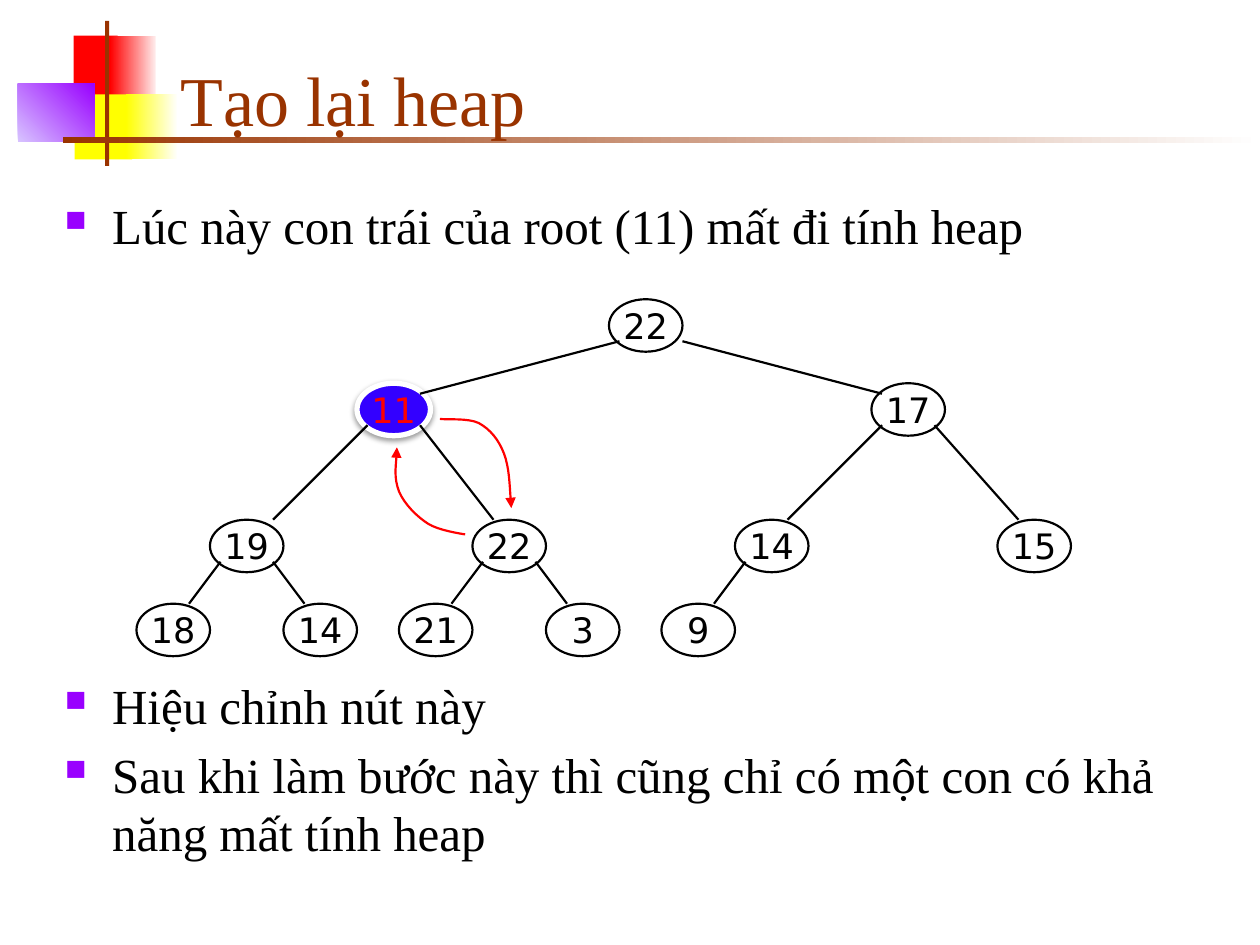
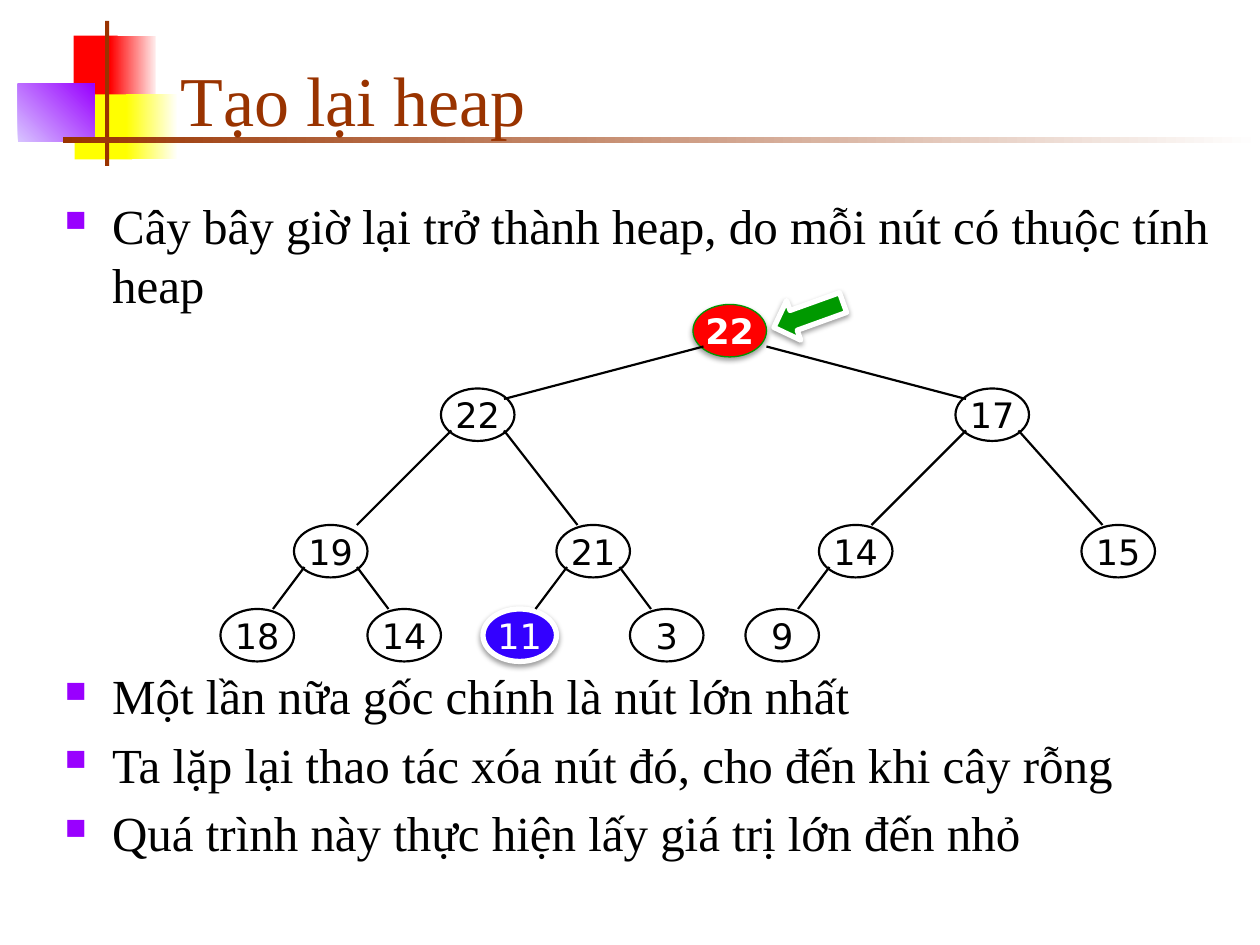
"""Build two slides on restoring a heap after its root is removed."""
from lxml import etree
from pptx import Presentation
from pptx.dml.color import RGBColor
from pptx.enum.shapes import MSO_CONNECTOR, MSO_SHAPE
from pptx.enum.text import MSO_ANCHOR, PP_ALIGN
from pptx.oxml.ns import qn
from pptx.util import Emu, Pt

RECT, OVAL, LEFT_ARROW = MSO_SHAPE.RECTANGLE, MSO_SHAPE.OVAL, MSO_SHAPE.LEFT_ARROW
STRAIGHT = MSO_CONNECTOR.STRAIGHT
BOTTOM, MIDDLE, CENTER = MSO_ANCHOR.BOTTOM, MSO_ANCHOR.MIDDLE, PP_ALIGN.CENTER

CELL = 76200
BLACK, WHITE, RED, BLUE = "000000", "FFFFFF", "FF0000", "3300FF"
BROWN, PURPLE, YELLOW, GREEN = "993300", "9900FF", "FFFF00", "009900"
SERIF, SANS = "Times New Roman", "DejaVu Sans"
INDENT = 4.5
PARAGRAPH_GAP, PARAGRAPH_PITCH = 5.6, 39.2

DECORATION = [
    ((7, 3.4, 4.2, 6.2), [RED], 0),
    ((10.5, 3.4, 4.3, 6.2), [RED, "FFEAEA"], 0),
    ((7.1, 9, 5.5, 6.2), [YELLOW], 0),
    ((12, 9, 4.8, 6.2), [YELLOW, "FFFFF8"], 0),
    ((1.7, 8, 7.3, 5.5), ["D8C4FF", PURPLE], 45),
    ((10, 2, 0.4, 13.8), [BROWN], 0),
    ((6, 13, 114, 0.6), [BROWN, WHITE], 0),
]

NODE_WIDTH, NODE_HEIGHT = 7, 5
NODE_COLUMNS = [45, 21, 70, 7, 32, 57, 82, 0, 14, 25, 39, 50]
LEVEL_ROWS = [0, 8, 21, 29]
EDGE_ENDS = [6, 1, 6, 2, 5, 2, 5, 2, 5, 2, 5]
PLAIN = (None, BLACK, 1.25, BLACK, False)

SLIDES = [
    {
        "points": ["Lúc này con trái của root (11) mất đi tính heap",
                   "Hiệu chỉnh nút này",
                   "Sau khi làm bước này thì cũng chỉ có một con có khả năng mất tính heap"],
        "tree_lines": 6,
        "origin": (13, 28.5),
        "values": [22, 11, 17, 19, 22, 14, 15, 18, 14, 21, 3, 9],
        "marked": {1: (BLUE, WHITE, 3, RED, False)},
        "swaps": [
            [(419, 399), (425, 400), (446, 398), (456, 403), (467, 409),
             (475, 419), (480, 432), (485, 445), (486, 473), (487, 484)],
            [(443, 509), (437, 508), (418, 505), (408, 499), (397, 492),
             (385, 480), (380, 468), (375, 455), (378, 434), (378, 426)],
        ],
        "pointers": [],
    },
    {
        "points": ["Cây bây giờ lại trở thành heap, do mỗi nút có thuộc tính heap",
                   "Một lần nữa gốc chính là nút lớn nhất",
                   "Ta lặp lại thao tác xóa nút đó, cho đến khi cây rỗng",
                   "Quá trình này thực hiện lấy giá trị lớn đến nhỏ"],
        "tree_lines": 5,
        "origin": (21, 29),
        "values": [22, 22, 17, 19, 21, 14, 15, 18, 14, 11, 3, 9],
        "marked": {0: (RED, "009600", 0.75, WHITE, True),
                   9: (BLUE, WHITE, 3, WHITE, False)},
        "swaps": [],
        "pointers": [(73.5, 28, 7, 4)],
    },
]


def grid(*cells):
    return [Emu(round(cell * CELL)) for cell in cells]


def paint(shape, fill, line, width, shadow=False):
    shape.shadow.inherit = False
    if fill:
        shape.fill.solid()
        shape.fill.fore_color.rgb = RGBColor.from_string(fill)
    else:
        shape.fill.background()
    if line:
        shape.line.color.rgb = RGBColor.from_string(line)
        shape.line.width = Pt(width)
    else:
        shape.line.fill.background()
    if shadow:
        effects = shape._element.spPr.find(qn("a:effectLst"))
        outer = etree.SubElement(effects, qn("a:outerShdw"), blurRad=str(Pt(3.1)),
                                 dist=str(Pt(1.6)), dir="5400000", rotWithShape="0")
        tint = etree.SubElement(outer, qn("a:srgbClr"), val=BLACK)
        etree.SubElement(tint, qn("a:alpha"), val="38000")


deck = Presentation()
deck.slide_width, deck.slide_height = grid(120, 90)

for content in SLIDES:
    slide = deck.slides.add_slide(deck.slide_layouts[6])

    for place, colours, angle in DECORATION:
        block = slide.shapes.add_shape(RECT, *grid(*place))
        paint(block, colours[0], None, 0)
        if len(colours) == 2:
            block.fill.gradient()
            block.fill.gradient_angle = angle
            for stop, colour in zip(block.fill.gradient_stops, colours):
                stop.color.rgb = RGBColor.from_string(colour)

    title = slide.shapes.add_textbox(*grid(16, 3, 102.2, 11)).text_frame
    title.text = "Tạo lại heap"
    title.word_wrap = True
    title.vertical_anchor = BOTTOM
    body = slide.shapes.add_textbox(*grid(5, 18, 112.5, 62.5)).text_frame
    body.text = "\n".join(content["points"])
    body.word_wrap = True
    for frame, size, colour in [(title, 40, BROWN), (body, 28, BLACK)]:
        for paragraph in frame.paragraphs:
            font = paragraph.runs[0].font
            font.name, font.size = SERIF, Pt(size)
            font.color.rgb = RGBColor.from_string(colour)

    for number, point in enumerate(body.paragraphs):
        tree_gap = content["tree_lines"] * PARAGRAPH_PITCH if number == 1 else 0
        point.space_before = Pt(PARAGRAPH_GAP + tree_gap)
        properties = point._p.get_or_add_pPr()
        properties.set("marL", str(grid(INDENT)[0]))
        properties.set("indent", str(grid(-INDENT)[0]))
        bullet_colour = etree.SubElement(properties, qn("a:buClr"))
        etree.SubElement(bullet_colour, qn("a:srgbClr"), val=PURPLE)
        etree.SubElement(properties, qn("a:buSzPct"), val="60000")
        etree.SubElement(properties, qn("a:buChar"), char="■")

    tree = slide.shapes.add_group_shape().shapes
    left, top = content["origin"]
    corners = [(left + column, top + LEVEL_ROWS[(index + 1).bit_length() - 1])
               for index, column in enumerate(NODE_COLUMNS)]

    for index, (x, y) in enumerate(corners):
        fill, line, width, ink, bold = content["marked"].get(index, PLAIN)
        node = tree.add_shape(OVAL, *grid(x, y, NODE_WIDTH, NODE_HEIGHT))
        paint(node, fill, line, width, shadow=index in content["marked"])
        label = node.text_frame
        label.text = str(content["values"][index])
        label.word_wrap = False
        label.vertical_anchor = MIDDLE
        label.paragraphs[0].alignment = CENTER
        font = label.paragraphs[0].runs[0].font
        font.name, font.size, font.bold = SANS, Pt(20), bold
        font.color.rgb = RGBColor.from_string(ink)

    for child, end_shift in enumerate(EDGE_ENDS, start=1):
        parent = (child - 1) // 2
        start_shift = 1 if child % 2 else 7 if parent == 0 else 6
        start_x, start_y = corners[parent]
        end_x, end_y = corners[child]
        edge = tree.add_connector(STRAIGHT, *grid(
            start_x + start_shift, start_y + 4,
            end_x + end_shift, end_y + (parent == 0)))
        edge.line.color.rgb = RGBColor.from_string(BLACK)
        edge.line.width = Pt(1.25)
        etree.SubElement(edge._element.spPr, qn("a:effectLst"))

    for start, *controls in content["swaps"]:
        builder = slide.shapes.build_freeform(*start, scale=CELL / 10)
        builder.add_line_segments(controls, close=False)
        swap = builder.convert_to_shape()
        paint(swap, None, RED, 1.25)
        segments = swap._element.xpath(".//a:lnTo")
        for first in range(0, len(segments), 3):
            curve = etree.Element(qn("a:cubicBezTo"))
            segments[first].addprevious(curve)
            for segment in segments[first:first + 3]:
                curve.append(segment[0])
                segment.getparent().remove(segment)
        outline = swap._element.spPr.find(qn("a:ln"))
        etree.SubElement(outline, qn("a:tailEnd"), type="triangle")

    for place in content["pointers"]:
        pointer = slide.shapes.add_shape(LEFT_ARROW, *grid(*place))
        pointer.rotation = 340.2
        paint(pointer, GREEN, WHITE, 3, shadow=True)

deck.save("out.pptx")
